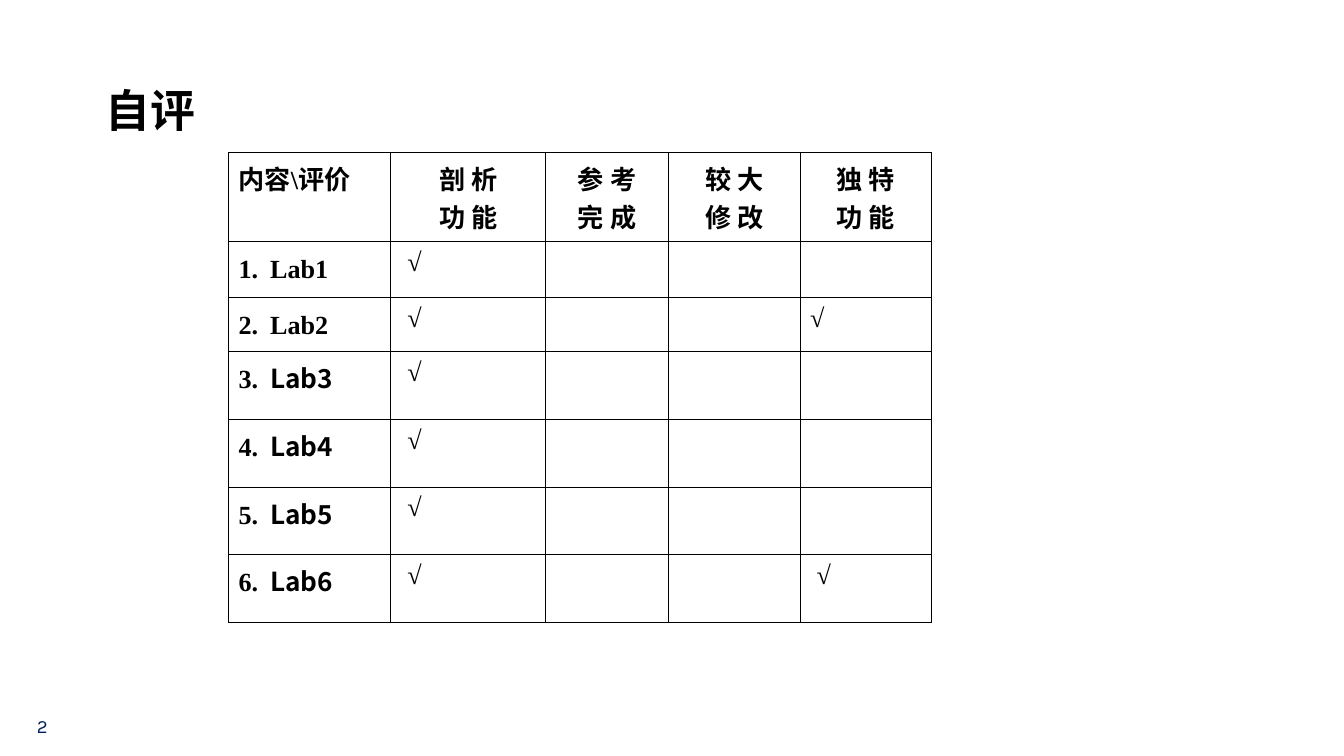
"""Build the self-evaluation slide: a title and a table of six labs against four criteria."""
from lxml import etree
from pptx import Presentation
from pptx.dml.color import RGBColor
from pptx.enum import text as t
from pptx.oxml import ns
from pptx.util import Pt

BLACK = RGBColor(0, 0, 0)
NAVY = RGBColor(0x00, 0x20, 0x60)
SERIF = "Times New Roman"
CJK = "Noto Sans CJK SC"
CRITERIA = ["剖 析\n功 能", "参 考\n完 成", "较 大\n修 改", "独 特\n功 能"]
LAB_COUNT = 6
UNIQUE_MARKS = {2: "√ ", 6: " √"}
COLUMN_WIDTHS = [87, 83, 65.7, 70.5, 70.3]
ROW_HEIGHTS = [47.8, 30, 29, 36.3, 36.3, 36.3, 36.3]


def style_run(run, font, size, color, bold=False):
    run.font.name, run.font.size, run.font.bold = font, Pt(size), bold
    run.font.color.rgb = color
    east_asian = etree.SubElement(run.font._element, ns.qn("a:ea"))
    east_asian.set("typeface", CJK)


def add_borders(cell):
    properties = cell._tc.get_or_add_tcPr()
    for side in ("lnL", "lnR", "lnT", "lnB"):
        line = etree.SubElement(properties, ns.qn(f"a:{side}"), w=str(Pt(0.45)))
        fill = etree.SubElement(line, ns.qn("a:solidFill"))
        etree.SubElement(fill, ns.qn("a:srgbClr"), val=str(BLACK))


deck = Presentation()
deck.slide_width, deck.slide_height = Pt(720), Pt(405)
slide = deck.slides.add_slide(deck.slide_layouts[5])

title = slide.shapes.title
title.left, title.top, title.width, title.height = Pt(49.5), Pt(21.2), Pt(621.4), Pt(78.5)
title.text_frame.text = "自评"
title.text_frame.vertical_anchor = t.MSO_ANCHOR.MIDDLE
heading = title.text_frame.paragraphs[0]
heading.alignment = t.PP_ALIGN.LEFT
heading.line_spacing = 0.9
style_run(heading.runs[0], "Calibri", 24, BLACK, True)

page_number = slide.shapes.add_textbox(Pt(12.7), Pt(379.4), Pt(46), Pt(21.6))
page_number.text_frame.word_wrap = True
page_number.text_frame.text = "2"
style_run(page_number.text_frame.paragraphs[0].runs[0], "Karla", 10, NAVY)

evaluation = slide.shapes.add_table(
    len(ROW_HEIGHTS), len(COLUMN_WIDTHS), Pt(122.4), Pt(81.5),
    Pt(sum(COLUMN_WIDTHS)), Pt(sum(ROW_HEIGHTS))).table
evaluation.first_row = evaluation.horz_banding = False
for column, width in zip(evaluation.columns, COLUMN_WIDTHS):
    column.width = Pt(width)
for row, height in zip(evaluation.rows, ROW_HEIGHTS):
    row.height = Pt(height)

for column, criterion in enumerate(["内容\\评价"] + CRITERIA):
    evaluation.cell(0, column).text_frame.text = criterion
for lab in range(1, LAB_COUNT + 1):
    label = evaluation.cell(lab, 0).text_frame.paragraphs[0]
    name_font = SERIF if lab <= 2 else CJK
    for part, font in ((f"{lab}.", SERIF), ("  ", CJK), (f"Lab{lab}", name_font)):
        run = label.add_run()
        run.text = part
        style_run(run, font, 14, BLACK, True)
    evaluation.cell(lab, 1).text_frame.text = " √"
    evaluation.cell(lab, 4).text_frame.text = UNIQUE_MARKS.get(lab, "")

for row in range(len(ROW_HEIGHTS)):
    for column in range(len(COLUMN_WIDTHS)):
        cell = evaluation.cell(row, column)
        add_borders(cell)
        cell.fill.background()
        cell.margin_left = cell.margin_right = Pt(5.4)
        cell.margin_top = cell.margin_bottom = Pt(3.6)
        centred = row == 0 and column > 0
        for paragraph in cell.text_frame.paragraphs:
            paragraph.alignment = t.PP_ALIGN.CENTER if centred else t.PP_ALIGN.JUSTIFY
            if row == 0 or column > 0:
                for run in paragraph.runs:
                    style_run(run, SERIF, 14, BLACK, row == 0)
            if not paragraph.runs:
                etree.SubElement(paragraph._p, ns.qn("a:endParaRPr"), sz="1400")

deck.save("out.pptx")
